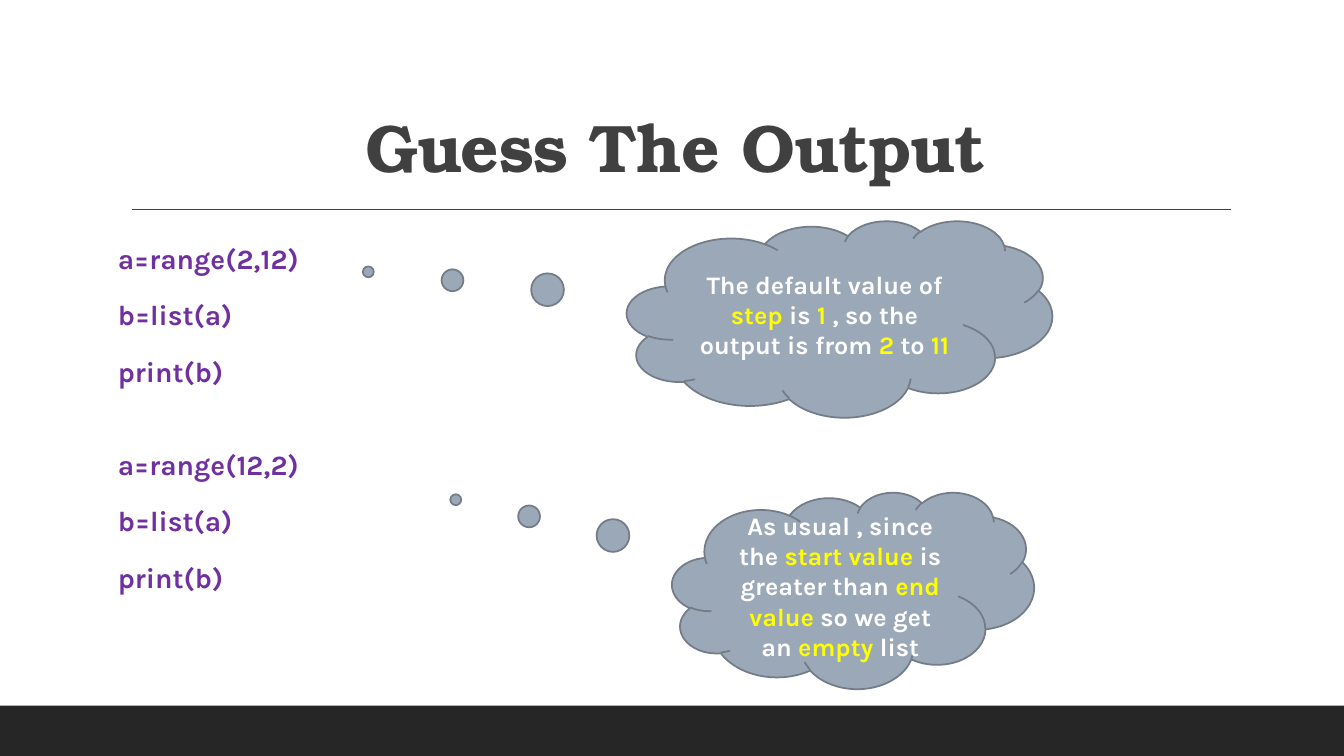
import pptx
import pptx.util
import pptx.dml.color
import pptx.enum.shapes
import pptx.enum.text

Cm, Pt = pptx.util.Cm, pptx.util.Pt
SHAPE = pptx.enum.shapes.MSO_SHAPE
ALIGN = pptx.enum.text.PP_ALIGN
ANCHOR = pptx.enum.text.MSO_ANCHOR


def rgb(value):
    return pptx.dml.color.RGBColor.from_string(value)


def add_run(p, text, font, size, color):
    r = p.add_run()
    r.text = text
    r.font.name, r.font.size, r.font.bold = font, Pt(size), True
    r.font.color.rgb = rgb(color)
    return r


prs = pptx.Presentation()
prs.slide_width, prs.slide_height = Cm(33.87), Cm(19.05)
s = prs.slides.add_slide(prs.slide_layouts[6])

# Footer band
band = s.shapes.add_shape(SHAPE.RECTANGLE, 0, Cm(17.78), prs.slide_width, Cm(1.27))
band.shadow.inherit = False
band.fill.solid()
band.fill.fore_color.rgb = rgb("262626")
band.line.fill.background()

# Rule under the title
rule = s.shapes.add_connector(pptx.enum.shapes.MSO_CONNECTOR.STRAIGHT,
                              Cm(3.33), Cm(5.28), Cm(31.01), Cm(5.28))
rule.line.color.rgb = rgb("404040")
rule.line.width = Pt(1)
rule._element.spPr.append(pptx.oxml.parse_xml(
    '<a:effectLst xmlns:a="http://schemas.openxmlformats.org/drawingml/2006/main"/>'))

# Title
tf = s.shapes.add_textbox(Cm(3.05), Cm(0.79), Cm(27.94), Cm(4.04)).text_frame
tf.word_wrap = True
tf.vertical_anchor = ANCHOR.BOTTOM
p = tf.paragraphs[0]
p.alignment = ALIGN.CENTER
p.line_spacing = 0.9
r = add_run(p, "Guess The Output", "TeX Gyre Bonum", 48, "404040")
r.font._element.set("spc", "-50")

# Two code snippets, set apart by a wider gap after the first
snippets = [
    ["a=range(2,12)", "b=list(a)", "print(b)"],
    ["a=range(12,2)", "b=list(a)", "print(b)"],
]
tf = s.shapes.add_textbox(Cm(2.97), Cm(5.87), Cm(27.94), Cm(10.44)).text_frame
tf.word_wrap = True
tf.margin_left = tf.margin_right = 0
p = tf.paragraphs[0]
for i, snippet in enumerate(snippets):
    for j, code in enumerate(snippet):
        if i or j:
            p = tf.add_paragraph()
        p.line_spacing = 1.1
        p.space_before = Pt(12)
        p.space_after = Pt(28 if code == "print(b)" and i == 0 else 2)
        add_run(p, code, "Karla", 20, "7030A0")

# Thought clouds: left, top, width, tail position, then plain and highlighted text in turn
clouds = [
    (15.8, 5.56, 10.72, (-1.108, -0.239),
     ["The default value of ", "step", " is ", "1", " , so the output is from ",
      "2 ", "to ", "11"]),
    (16.94, 12.4, 9.12, (-1.098, -0.461),
     ["As usual , since the ", "start value ", "is greater than ", "end value",
      " so we get an ", "empty", " list"]),
]
for left, top, width, tail, texts in clouds:
    sp = s.shapes.add_shape(SHAPE.CLOUD_CALLOUT, Cm(left), Cm(top), Cm(width), Cm(4.95))
    sp.adjustments[0], sp.adjustments[1] = tail
    sp.shadow.inherit = False
    sp.fill.solid()
    sp.fill.fore_color.rgb = rgb("9BA8B7")
    sp.line.color.rgb = rgb("737C87")
    sp.line.width = Pt(1.25)
    tf = sp.text_frame
    tf.word_wrap = True
    tf.vertical_anchor = ANCHOR.MIDDLE
    p = tf.paragraphs[0]
    p.alignment = ALIGN.CENTER
    for i, text in enumerate(texts):
        add_run(p, text, "Karla", 18, "FFFF00" if i % 2 else "FFFFFF")

prs.save("out.pptx")
